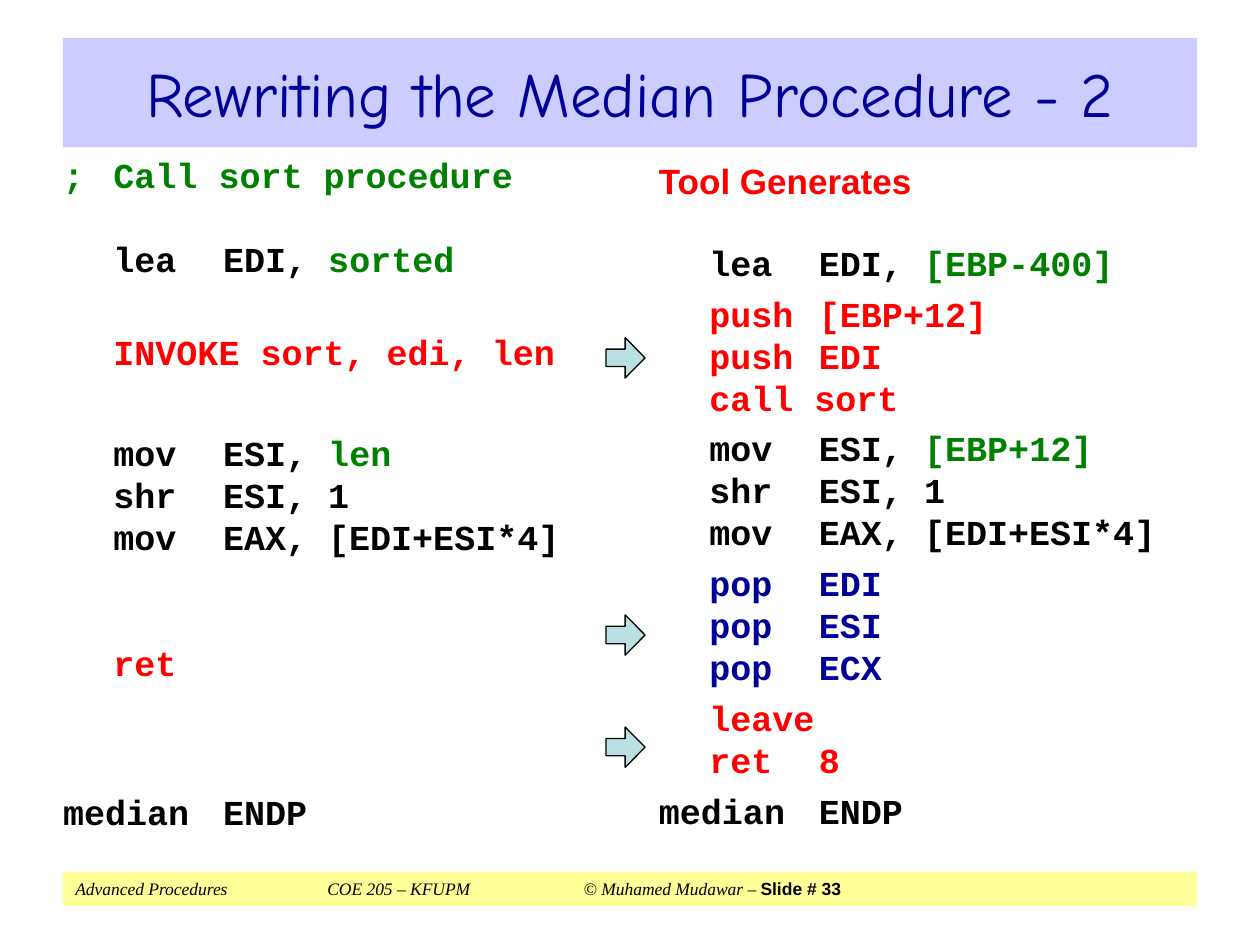
from pptx import Presentation
from pptx.dml.color import RGBColor
from pptx.enum.shapes import MSO_SHAPE
from pptx.enum.text import MSO_ANCHOR, PP_ALIGN
from pptx.oxml.ns import qn
from pptx.util import Inches, Pt
from lxml.etree import SubElement

THEME = {
    "white": "FFFFFF", "black": "000000", "red": "FF0000", "green": "008000",
    "navy": "000099", "banner": "CCCCFF", "footer": "FFFF99", "arrow": "BBE0E3",
    "title_font": "Comic Neue", "code_font": "Courier New",
    "label_font": "Arial", "footer_font": "Times New Roman",
    "title_size": 36, "code_size": 20, "footer_size": 10, "code_pitch": 24,
}

# Content: each line is (space before in points, [(text, colour), ...])
TITLE = "Rewriting the Median Procedure - 2"
FOOTER = ["Advanced Procedures\tCOE 205 – KFUPM\t © Muhamed Mudawar – ", "Slide # 33"]
SOURCE_CODE = [
    (5, [(";\tCall sort procedure", "green")]),
    (24, [("\tlea\tEDI, ", "black"), ("sorted", "green")]),
    (29, [("\tINVOKE sort, edi, len", "red")]),
    (34, [("\tmov\tESI, ", "black"), ("len", "green")]),
    (0, [("\tshr\tESI, 1", "black")]),
    (0, [("\tmov\tEAX, [EDI+ESI*4]", "black")]),
    (48, [("\tret", "red")]),
    (61, [("median\tENDP", "black")]),
]
GENERATED_HEADING = "Tool Generates"
GENERATED_CODE = [
    (0, [(GENERATED_HEADING, "red")]),
    (22.5, [("\tlea\tEDI, ", "black"), ("[EBP-400]", "green")]),
    (5, [("\tpush\t[EBP+12]", "red")]),
    (0, [("\tpush\tEDI", "red")]),
    (0, [("\tcall sort", "red")]),
    (5, [("\tmov\tESI, ", "black"), ("[EBP+12]", "green")]),
    (0, [("\tshr\tESI, 1", "black")]),
    (0, [("\tmov\tEAX, [EDI+ESI*4]", "black")]),
    (5, [("\tpop\tEDI", "navy")]),
    (0, [("\tpop\tESI", "navy")]),
    (0, [("\tpop\tECX", "navy")]),
    (5, [("\tleave", "red")]),
    (0, [("\tret\t8", "red")]),
    (5, [("median\tENDP", "black")]),
]
CODE_TABS = [0.4, 1.27, 2.16]
FOOTER_TABS = [2, 4]
ARROW_TOPS = [2.68, 4.88, 5.77]


def colour(name):
    return RGBColor.from_string(THEME[name])


def add_panel(page, shape_kind, place, fill):
    panel = page.shapes.add_shape(shape_kind, *map(Inches, place))
    panel.shadow.inherit = False
    panel.fill.solid()
    panel.fill.fore_color.rgb = colour(fill)
    panel.line.fill.background()
    return panel


def add_text_panel(page, place, fill, anchor, left_inset=0.1):
    frame = add_panel(page, MSO_SHAPE.RECTANGLE, place, fill).text_frame
    frame.word_wrap = True
    frame.vertical_anchor = anchor
    frame.margin_left = Inches(left_inset)
    return frame


def style(font, family, size, color, bold=False, italic=False):
    font.name, font.size = family, Pt(size)
    font.color.rgb = colour(color)
    font.bold, font.italic = bold, italic


def set_tabs(para, stops):
    properties = para._p.get_or_add_pPr()
    tab_list = properties.makeelement(qn("a:tabLst"), {})
    for stop in stops:
        SubElement(tab_list, qn("a:tab"), pos=str(int(Inches(stop))), algn="l")
    properties.insert_element_before(tab_list, "a:defRPr", "a:extLst")


def add_code(page, place, lines):
    frame = add_text_panel(page, place, "white", MSO_ANCHOR.TOP, left_inset=0.23)
    for index, (space, spans) in enumerate(lines):
        para = frame.add_paragraph() if index else frame.paragraphs[0]
        para.alignment = PP_ALIGN.LEFT
        para.space_before = Pt(space)
        para.line_spacing = Pt(THEME["code_pitch"])
        set_tabs(para, CODE_TABS)
        for text, color in spans:
            span = para.add_run()
            span.text = text
            family = "label_font" if text == GENERATED_HEADING else "code_font"
            style(span.font, THEME[family], THEME["code_size"], color, bold=True)


deck = Presentation()
deck.slide_width, deck.slide_height = Inches(10), Inches(7.5)
page = deck.slides.add_slide(deck.slide_layouts[6])

# Footer band
footer = add_text_panel(page, (0.5, 6.92, 9, 0.27), "footer", MSO_ANCHOR.MIDDLE).paragraphs[0]
footer.alignment = PP_ALIGN.LEFT
set_tabs(footer, FOOTER_TABS)
credit, number = footer.add_run(), footer.add_run()
credit.text, number.text = FOOTER
style(credit.font, THEME["footer_font"], THEME["footer_size"], "black", italic=True)
style(number.font, THEME["label_font"], THEME["footer_size"], "black", bold=True)

# Hand-written code, then the title band over its top edge
add_code(page, (0.27, 1.17, 7.31, 5.49), SOURCE_CODE)
title = add_text_panel(page, (0.5, 0.3, 9, 0.87), "banner", MSO_ANCHOR.MIDDLE).paragraphs[0]
title.text = TITLE
title.alignment = PP_ALIGN.CENTER
style(title.font, THEME["title_font"], THEME["title_size"], "navy")

# Generated code
add_code(page, (5, 1.22, 4.47, 5.43), GENERATED_CODE)

# Arrows from each source line to its expansion
for top in ARROW_TOPS:
    arrow = add_panel(page, MSO_SHAPE.RIGHT_ARROW, (4.81, top, 0.31, 0.32), "arrow")
    arrow.adjustments[0], arrow.adjustments[1] = 0.43, 0.51
    arrow.line.color.rgb = colour("black")
    arrow.line.width = Pt(0.75)

deck.save("out.pptx")
